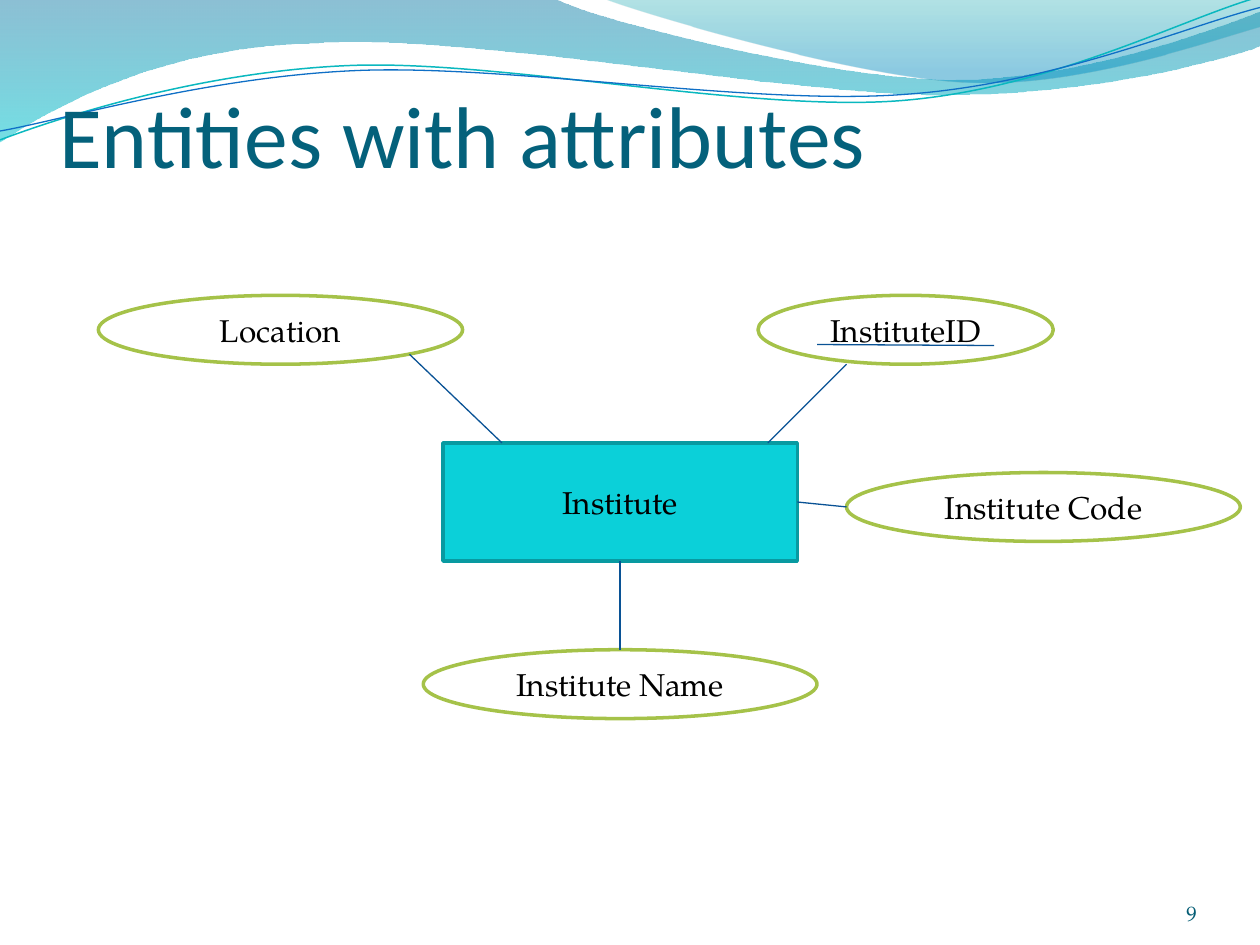
from dataclasses import dataclass
from math import cos, radians, sin

from lxml.etree import SubElement
from pptx import Presentation
from pptx.dml.color import RGBColor
from pptx.enum.shapes import MSO_CONNECTOR, MSO_SHAPE
from pptx.enum.text import MSO_ANCHOR, PP_ALIGN
from pptx.oxml.ns import qn
from pptx.util import Inches, Pt


@dataclass(frozen=True)
class Theme:
    heading_font: str = "Calibri"
    body_font: str = "TeX Gyre Pagella"
    title_size: float = 50
    label_size: float = 18
    number_size: float = 12
    title: str = "04617B"
    text: str = "000000"
    number: str = "045D75"
    entity: str = "0BD0D9"
    entity_line: str = "089AA1"
    attribute: str = "FFFFFF"
    attribute_line: str = "A5C249"
    link: str = "095295"
    outline: float = 2
    thin: float = 0.75


T = Theme()
WIDTH, HEIGHT = 10, 7.5
UNIT = WIDTH / 12.8  # side of one diagram grid cell
DETAIL = 1000  # outline steps per inch
WAVE_TURN = -2.7  # degrees

# Header bands: start, then line ends (2 numbers) or Bezier segments (6 numbers);
# gradient stops are position, colour, opacity in percent
BANDS = [
    ([(0, 0), (4.4, -0.01), (4.76, 0.17, 6.64, 0.63, 7.58, 0.63),
      (8.53, 0.63, 9.58, 0.26, 10, 0.09), (10.01, 0.36),
      (9.83, 0.44, 8.7, 0.76, 7.46, 0.75), (6.22, 0.75, 3.82, 0.28, 2.57, 0.34),
      (1.29, 0.36, 0.46, 0.83, -0.01, 1.13), (0, 0)],
     [(0, "0074A1", 45), (1, "00C6CF", 55)]),
    ([(4.79, -0.01), (5.09, 0.11, 6.82, 0.62, 7.69, 0.65),
      (8.56, 0.69, 9.61, 0.32, 10, 0.21), (10, 0), (4.79, -0.01)],
     [(0, "00A1A9", 30), (0.8, "008BBF", 45)]),
]
WAVES = [
    ([(0, 1.11), (0.48, 0.93, 1.58, 0.57, 2.77, 0.52),
      (3.95, 0.47, 5.93, 0.89, 7.13, 0.8), (8.33, 0.71, 9.38, 0.15, 9.98, -0.02)],
     "0AB8BF", 0.85),
    ([(0, 1.04), (0.47, 0.96, 1.64, 0.61, 2.83, 0.56),
      (4.03, 0.51, 5.97, 0.84, 7.17, 0.75), (8.36, 0.67, 9.41, 0.21, 10, 0.06)],
     "0F6FC6", 0.75),
]

# Diagram in grid cells, relative to the slide corner
ENTITY = ("Institute", (4.5, 4.5, 3.6, 1.2))
ATTRIBUTES = [
    ("Location", (1, 3, 3.7, 0.7)),
    ("InstituteID", (7.7, 3, 3, 0.7)),
    ("Institute Name", (4.3, 6.6, 4, 0.7)),
    ("Institute Code", (8.6, 4.8, 4, 0.7)),
]
LINKS = [
    (5.1, 4.5, 4.16, 3.6),
    (7.8, 4.5, 8.6, 3.7),
    (6.3, 6.6, 6.3, 5.7),
    (8.1, 5.1, 8.6, 5.15),
    (8.3, 3.5, 10.1, 3.51),  # key underline
]


def color(value):
    return RGBColor.from_string(value)


def write(shape, text, font, size, rgb, align, **frame):
    tf = shape.text_frame
    tf.word_wrap = True
    for name, value in frame.items():
        setattr(tf, name, value)
    p = tf.paragraphs[0]
    p.alignment = align
    r = p.add_run()
    r.text = text
    for name, value in {"name": font, "size": Pt(size), "bold": False}.items():
        setattr(r.font, name, value)
    r.font.color.rgb = color(rgb)


def turn(point, degrees):
    """Turn a point clockwise about the slide corner."""
    (x, y), a = point, radians(degrees)
    return x * cos(a) - y * sin(a), x * sin(a) + y * cos(a)


def add_outline(s, outline, close, degrees=0):
    nodes = [turn(seg[i:i + 2], -degrees) for seg in outline for i in range(0, len(seg), 2)]
    nodes = [(x * DETAIL, y * DETAIL) for x, y in nodes]
    builder = s.shapes.build_freeform(*nodes[0], scale=Inches(1) / DETAIL)
    builder.add_line_segments(nodes[1:], close=close)
    sp = builder.convert_to_shape()
    sp.shadow.inherit = False
    # Join each three nodes of a Bezier segment into one curve
    ends = iter(list(sp._element.spPr.iter(qn("a:lnTo"))))
    for segment in outline[1:]:
        first = next(ends)
        if len(segment) == 6:
            first.tag = qn("a:cubicBezTo")
            for _ in range(2):
                extra = next(ends)
                first.append(extra[0])
                extra.getparent().remove(extra)
    # Turn the shape, keeping its nodes in place
    half_w, half_h = sp.width / 2, sp.height / 2
    x, y = turn((sp.left + half_w, sp.top + half_h), degrees)
    sp.left, sp.top = round(x - half_w), round(y - half_h)
    sp.rotation = degrees
    return sp


def add_header(s):
    for outline, stops in BANDS:
        sp = add_outline(s, outline, True)
        sp.line.fill.background()
        sp.fill.gradient()
        sp.fill.gradient_angle = 270
        for stop, (position, rgb, _) in zip(sp.fill.gradient_stops, stops):
            stop.position = position
            stop.color.rgb = color(rgb)
        for node, (_, _, opacity) in zip(sp._element.spPr.iter(qn("a:srgbClr")), stops):
            SubElement(node, qn("a:alpha")).set("val", str(opacity * 1000))
    for outline, rgb, width in WAVES:
        sp = add_outline(s, outline, False, WAVE_TURN)
        sp.fill.background()
        sp.line.color.rgb = color(rgb)
        sp.line.width = Pt(width)


def add_title(s, text, box):
    title = s.shapes.title
    s.shapes._spTree.append(title._element)  # in front of the header
    for name, value in zip(("left", "top", "width", "height"), box):
        setattr(title, name, Inches(value))
    write(title, text, T.heading_font, T.title_size, T.title, PP_ALIGN.LEFT,
          vertical_anchor=MSO_ANCHOR.BOTTOM, margin_left=0, margin_right=0,
          margin_top=Inches(0.05), margin_bottom=0)


def add_node(s, kind, label, box, fill, line):
    sp = s.shapes.add_shape(kind, *box)
    sp.shadow.inherit = False
    sp.fill.solid()
    sp.fill.fore_color.rgb = color(fill)
    sp.line.color.rgb = color(line)
    sp.line.width = Pt(T.outline)
    write(sp, label, T.body_font, T.label_size, T.text, PP_ALIGN.CENTER,
          vertical_anchor=MSO_ANCHOR.MIDDLE)


def add_diagram(s, left, top, unit):
    def place(x, y):
        return Inches(left + x * unit), Inches(top + y * unit)

    def area(x, y, w, h):
        return *place(x, y), Inches(w * unit), Inches(h * unit)

    label, cells = ENTITY
    add_node(s, MSO_SHAPE.RECTANGLE, label, area(*cells), T.entity, T.entity_line)
    for label, cells in ATTRIBUTES:
        add_node(s, MSO_SHAPE.OVAL, label, area(*cells), T.attribute, T.attribute_line)
    for x1, y1, x2, y2 in LINKS:
        link = s.shapes.add_connector(MSO_CONNECTOR.STRAIGHT, *place(x1, y1), *place(x2, y2))
        link.line.color.rgb = color(T.link)
        link.line.width = Pt(T.thin)
        SubElement(link._element.spPr, qn("a:effectLst"))


def add_number(s, text, box):
    sp = s.shapes.add_textbox(*map(Inches, box))
    write(sp, text, T.body_font, T.number_size, T.number, PP_ALIGN.RIGHT,
          vertical_anchor=MSO_ANCHOR.BOTTOM, margin_left=0, margin_right=0,
          margin_top=0, margin_bottom=0)


prs = Presentation()
prs.slide_width, prs.slide_height = Inches(WIDTH), Inches(HEIGHT)
s = prs.slides.add_slide(prs.slide_layouts[5])
add_header(s)
add_title(s, "Entities with attributes", (0.47, 0.23, 9, 1.25))
add_diagram(s, 0, 0, UNIT)
add_number(s, "9", (8.67, 6.95, 0.83, 0.4))
prs.save("out.pptx")
